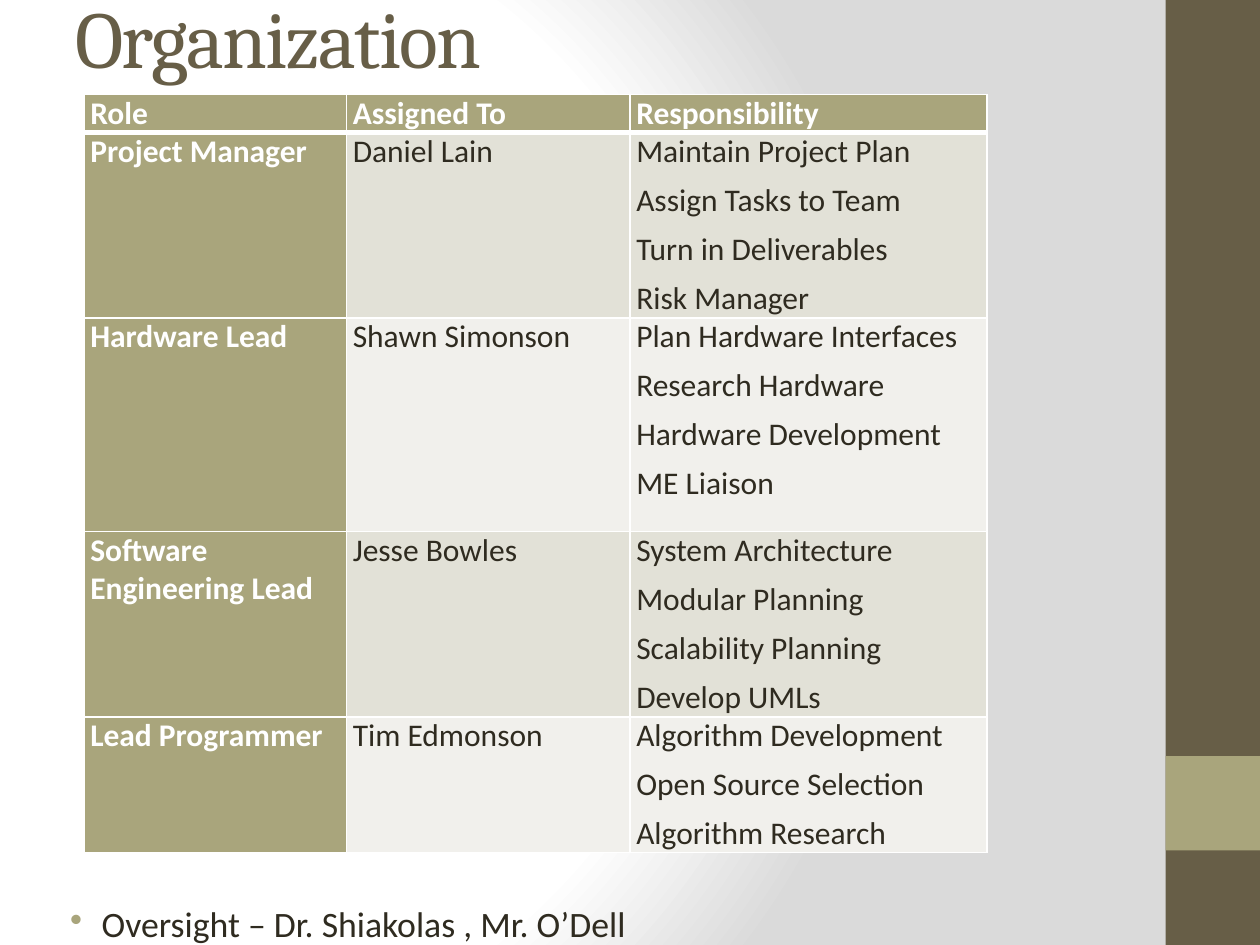
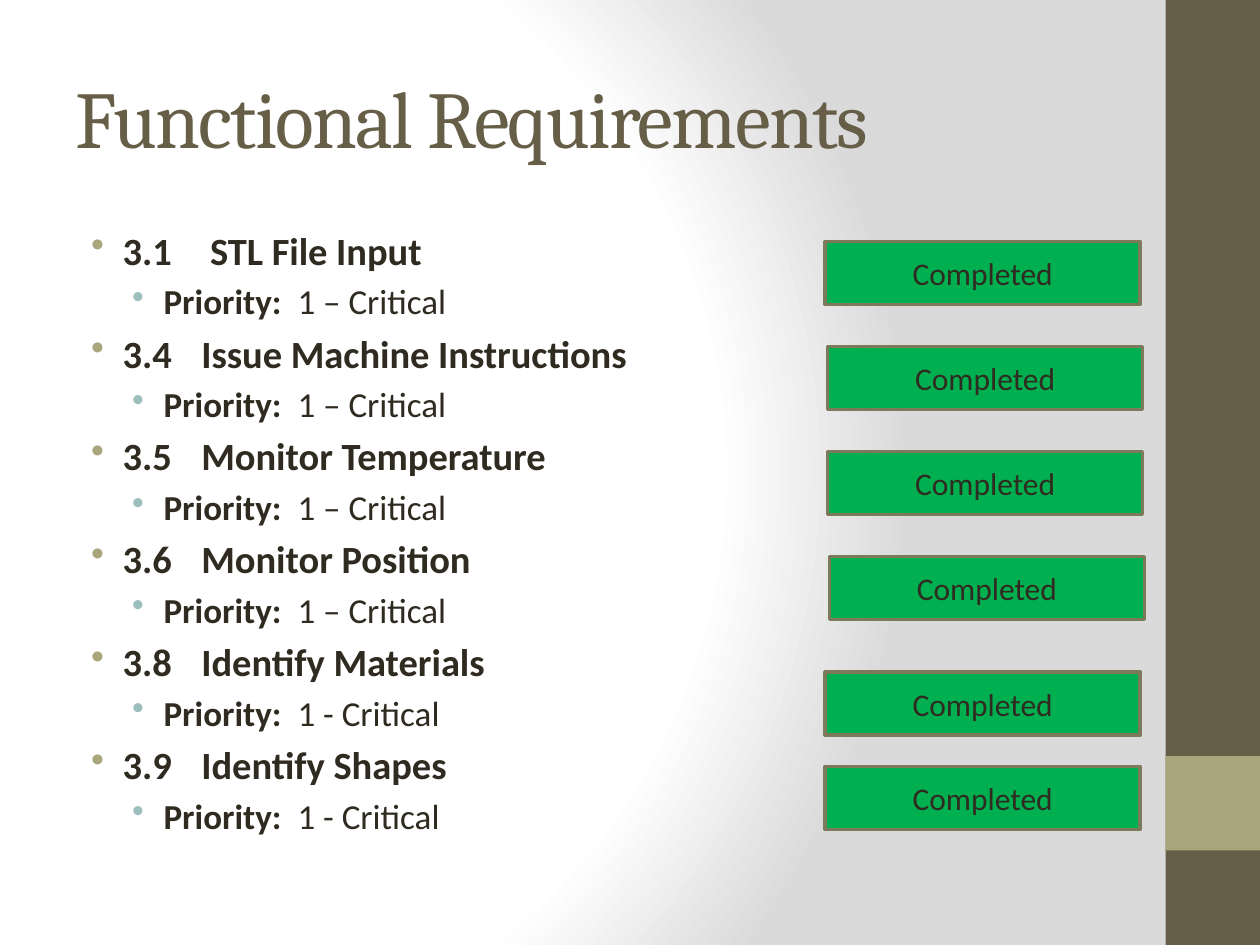
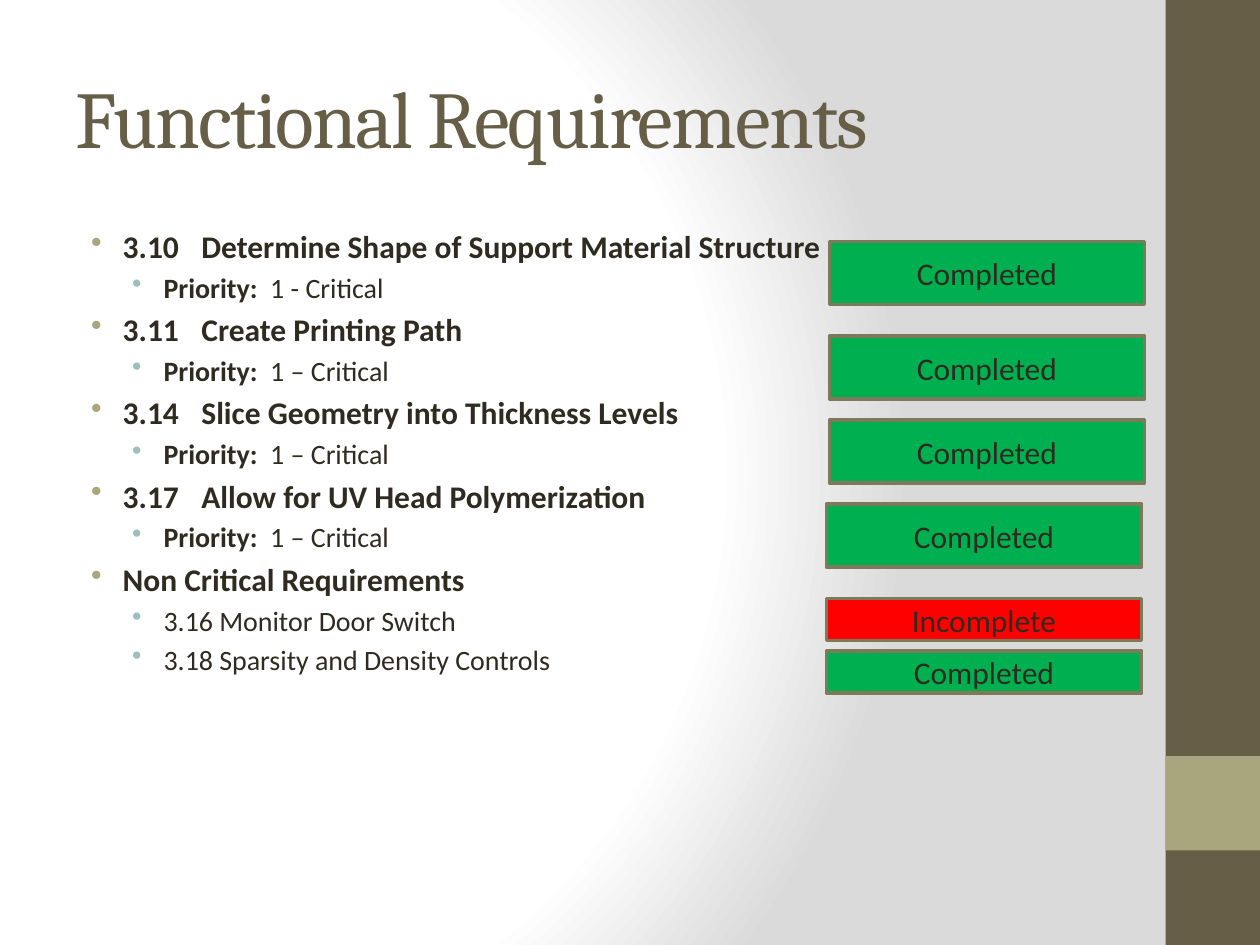
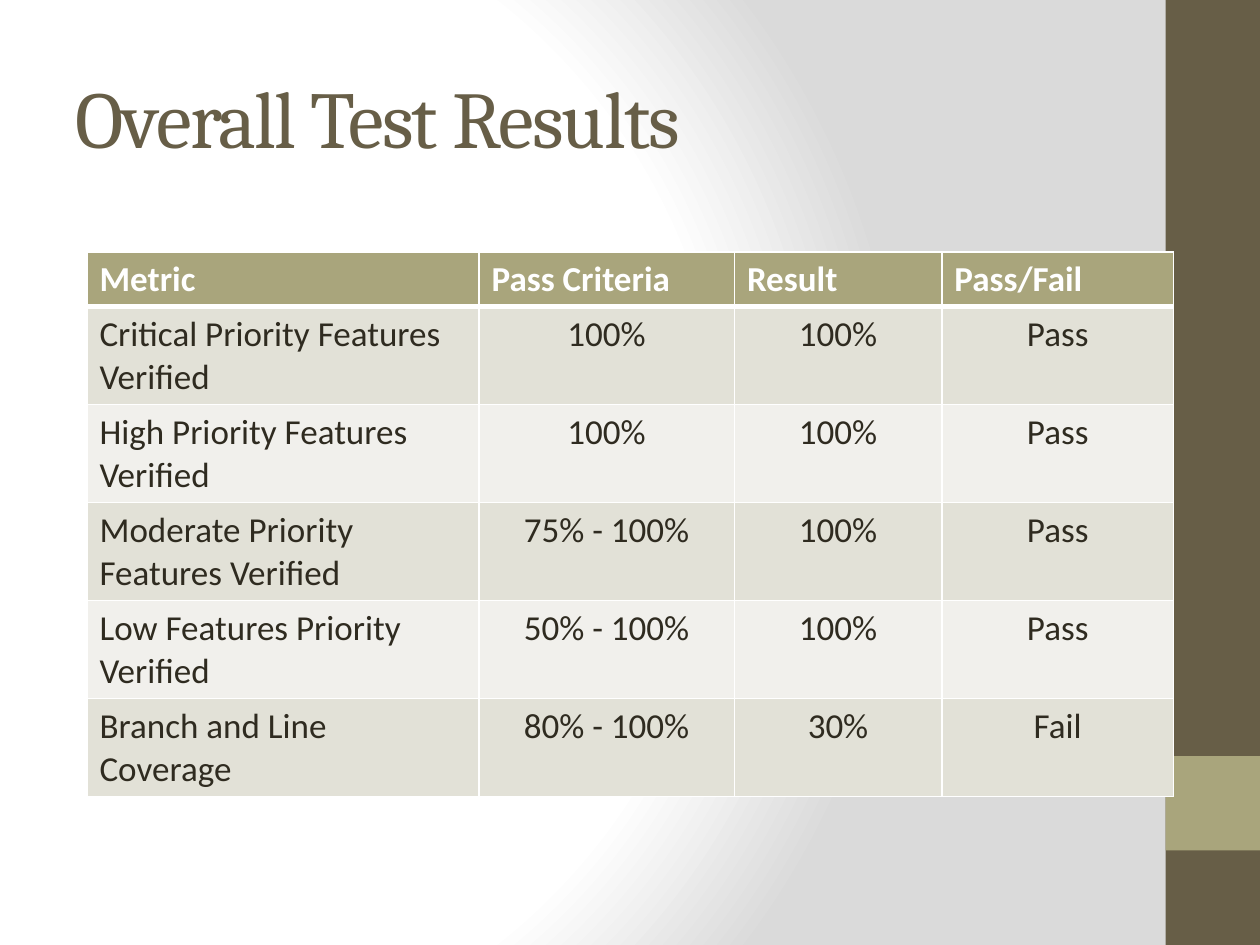
from lxml.etree import SubElement
from pptx import Presentation
from pptx.dml.color import RGBColor
from pptx.enum.shapes import MSO_SHAPE
from pptx.enum.text import MSO_ANCHOR, PP_ALIGN
from pptx.oxml.ns import qn
from pptx.util import Pt

HUES = {
    "white": "FFFFFF", "gray": "DADADA", "brown": "675E47", "olive": "A9A57C",
    "teal": "9CBEBD", "ink": "2F2B20", "odd": "E2E1D7", "even": "F1F0EC",
    "green": "00B050", "red": "FF0000", "edge": "7D7A5C",
}
RGB = {name: RGBColor.from_string(code) for name, code in HUES.items()}


def write(frame, text, size=18, font="Calibri", hue="ink", bold=False, lead="",
          align=None, before=0, dot=None, left=0, track=0):
    """Add a paragraph; lead is bold text before the rest, dot the bullet's hue."""
    frame.word_wrap = True
    para = frame.add_paragraph() if frame.text else frame.paragraphs[0]
    para.alignment = align
    para.space_before = Pt(before)
    if dot:
        props = para._p.get_or_add_pPr()
        props.set("marL", str(Pt(left)))
        props.set("indent", str(Pt(-18)))
        SubElement(SubElement(props, qn("a:buClr")), qn("a:srgbClr"), val=HUES[dot])
        SubElement(props, qn("a:buChar"), char="•")
    for words, heavy in ((lead, True), (text, bold)):
        if words:
            run = para.add_run()
            run.text = words
            run.font.size, run.font.name, run.font.bold = Pt(size), font, heavy
            run.font.color.rgb = RGB[hue]
            if track:
                run.font._element.set("spc", str(track * 100))


def grid(slide, rows, spot, widths, heights, size, side=False, tight=False):
    """Add a banded table; side colours the first column, tight trims the insets."""
    table = slide.shapes.add_table(len(rows), len(widths), Pt(spot[0]), Pt(spot[1]),
                                   Pt(sum(widths)), Pt(sum(heights))).table
    table.horz_banding = False
    for col, width in zip(table.columns, widths):
        col.width = Pt(width)
    for r, row in enumerate(rows):
        table.rows[r].height = Pt(heights[r])
        for c, lines in enumerate(row):
            cell = table.cell(r, c)
            head = r == 0 or (side and c == 0)
            if tight:
                cell.margin_left = cell.margin_right = Pt(3.6)
                cell.margin_top = cell.margin_bottom = 0
            for edge in ("lnL", "lnR", "lnT", "lnB"):
                thick = (r, edge) in ((0, "lnB"), (1, "lnT"))
                line = SubElement(cell._tc.get_or_add_tcPr(), qn("a:" + edge),
                                  w=str(Pt(3 if thick else 1)))
                paint = SubElement(line, qn("a:solidFill"))
                SubElement(paint, qn("a:srgbClr"), val=HUES["white"])
            cell.fill.solid()
            cell.fill.fore_color.rgb = RGB["olive" if head else "odd" if r % 2 else "even"]
            for text in lines.split("\n"):
                write(cell.text_frame, text, size=size, bold=head,
                      hue="white" if head else "ink", before=6 if tight else 0,
                      align=PP_ALIGN.CENTER if r and c and not tight else None)


deck = Presentation()
deck.slide_width, deck.slide_height = Pt(720), Pt(540)

# Shared background
master = deck.slide_master
master.background.fill.gradient()
grad = master.element.find(".//" + qn("a:gradFill"))
for part in list(grad):
    grad.remove(part)
stops = SubElement(grad, qn("a:gsLst"))
for pos, hue in ((0, "white"), (75, "white"), (100, "gray")):
    stop = SubElement(stops, qn("a:gs"), pos=str(pos * 1000))
    SubElement(stop, qn("a:srgbClr"), val=HUES[hue])
SubElement(SubElement(grad, qn("a:path"), path="circle"), qn("a:fillToRect"),
           l="20000", t="50000", r="100000", b="50000")

# Bands and titles
slides = []
for title, top in (("Organization", -24), ("Functional Requirements", 21.6),
                   ("Functional Requirements", 21.6), ("Overall Test Results", 21.6)):
    slide = deck.slides.add_slide(deck.slide_layouts[6])
    slides.append(slide)
    for y, high, hue in ((0, 540, "brown"), (432, 54, "olive")):
        band = slide.shapes.add_shape(MSO_SHAPE.RECTANGLE, Pt(666), Pt(y), Pt(54), Pt(high))
        band.shadow.inherit = False
        band.fill.solid()
        band.fill.fore_color.rgb = RGB[hue]
        band.line.fill.background()
    frame = slide.shapes.add_textbox(Pt(36), Pt(top), Pt(600), Pt(90)).text_frame
    frame.vertical_anchor = MSO_ANCHOR.MIDDLE
    write(frame, title, size=46, font="Cambria", hue="brown", track=-1)
team, first, second, tests = slides

# Organization
frame = team.shapes.add_textbox(Pt(24), Pt(426), Pt(600), Pt(114)).text_frame
frame.vertical_anchor = MSO_ANCHOR.BOTTOM
frame.margin_bottom = 0
write(frame, "Oversight – Dr. Shiakolas , Mr. O’Dell", size=20.4, dot="olive", left=27)
roles = [
    ("Role", "Assigned To", "Responsibility"),
    ("Project Manager", "Daniel Lain",
     "Maintain Project Plan\nAssign Tasks to Team\nTurn in Deliverables\nRisk Manager"),
    ("Hardware Lead", "Shawn Simonson",
     "Plan Hardware Interfaces\nResearch Hardware\nHardware Development\nME Liaison"),
    ("Software Engineering Lead", "Jesse Bowles",
     "System Architecture\nModular Planning\nScalability Planning\nDevelop UMLs"),
    ("Lead Programmer", "Tim Edmonson",
     "Algorithm Development\nOpen Source Selection\nAlgorithm Research"),
]
grid(team, roles, (48, 54), (150, 162, 204), (21.6, 106, 122, 106, 77.7), 18,
     side=True, tight=True)

# Functional requirements: heading, then (bold lead, text) below it
dash, hyphen = ("Priority:", "  1 – Critical"), ("Priority:", "  1 - Critical")
needs = [
    ("3.1\t STL File Input", [dash]),
    ("3.4\tIssue Machine Instructions", [dash]),
    ("3.5\tMonitor Temperature", [dash]),
    ("3.6\tMonitor Position", [dash]),
    ("3.8\tIdentify Materials", [hyphen]),
    ("3.9\tIdentify Shapes", [hyphen]),
]
more = [
    ("3.10\tDetermine Shape of Support Material Structure", [hyphen]),
    ("3.11\tCreate Printing Path", [dash]),
    ("3.14\tSlice Geometry into Thickness Levels", [dash]),
    ("3.17\tAllow for UV Head Polymerization", [dash]),
    ("Non Critical Requirements", [("", "3.16 Monitor Door Switch"),
                                   ("", "3.18 Sparsity and Density Controls")]),
]
# Status boxes: left, top, height, done
marks = [(471.6, 138, 36, True), (473, 198, 36, True), (473, 258, 36, True),
         (474, 318, 36, True), (471.6, 384, 36, True), (471.6, 438, 36, True)]
states = [(474, 138, 36, True), (474, 192, 36, True), (474, 240, 36, True),
          (472.3, 288, 36, True), (472.3, 342, 24, False), (472.3, 372, 24, True)]

for slide, items, boxes, big, small in ((first, needs, marks, 22, 20),
                                        (second, more, states, 18, 16)):
    frame = slide.shapes.add_textbox(Pt(36), Pt(126), Pt(600), Pt(378)).text_frame
    for name, notes in items:
        write(frame, name, size=big, bold=True, before=big / 5, dot="olive", left=27)
        for lead, text in notes:
            write(frame, text, size=small, lead=lead, before=small / 5, dot="teal", left=50.4)
    for x, y, high, done in boxes:
        box = slide.shapes.add_shape(MSO_SHAPE.RECTANGLE, Pt(x), Pt(y), Pt(180), Pt(high))
        box.shadow.inherit = False
        box.fill.solid()
        box.fill.fore_color.rgb = RGB["green" if done else "red"]
        box.line.color.rgb = RGB["edge"]
        box.line.width = Pt(2)
        box.text_frame.vertical_anchor = MSO_ANCHOR.MIDDLE
        write(box.text_frame, "Completed" if done else "Incomplete", align=PP_ALIGN.CENTER)

# Overall test results
scores = [
    ("Metric", "Pass Criteria", "Result", "Pass/Fail"),
    ("Critical Priority Features Verified", "100%", "100%", "Pass"),
    ("High Priority Features Verified", "100%", "100%", "Pass"),
    ("Moderate Priority Features Verified", "75% - 100%", "100%", "Pass"),
    ("Low Features Priority Verified", "50% - 100%", "100%", "Pass"),
    ("Branch and Line Coverage", "80% - 100%", "30%", "Fail"),
]
grid(tests, scores, (49.7, 144), (224, 146, 118.5, 132.5), [31] + [56] * 5, 20)

deck.save("out.pptx")
